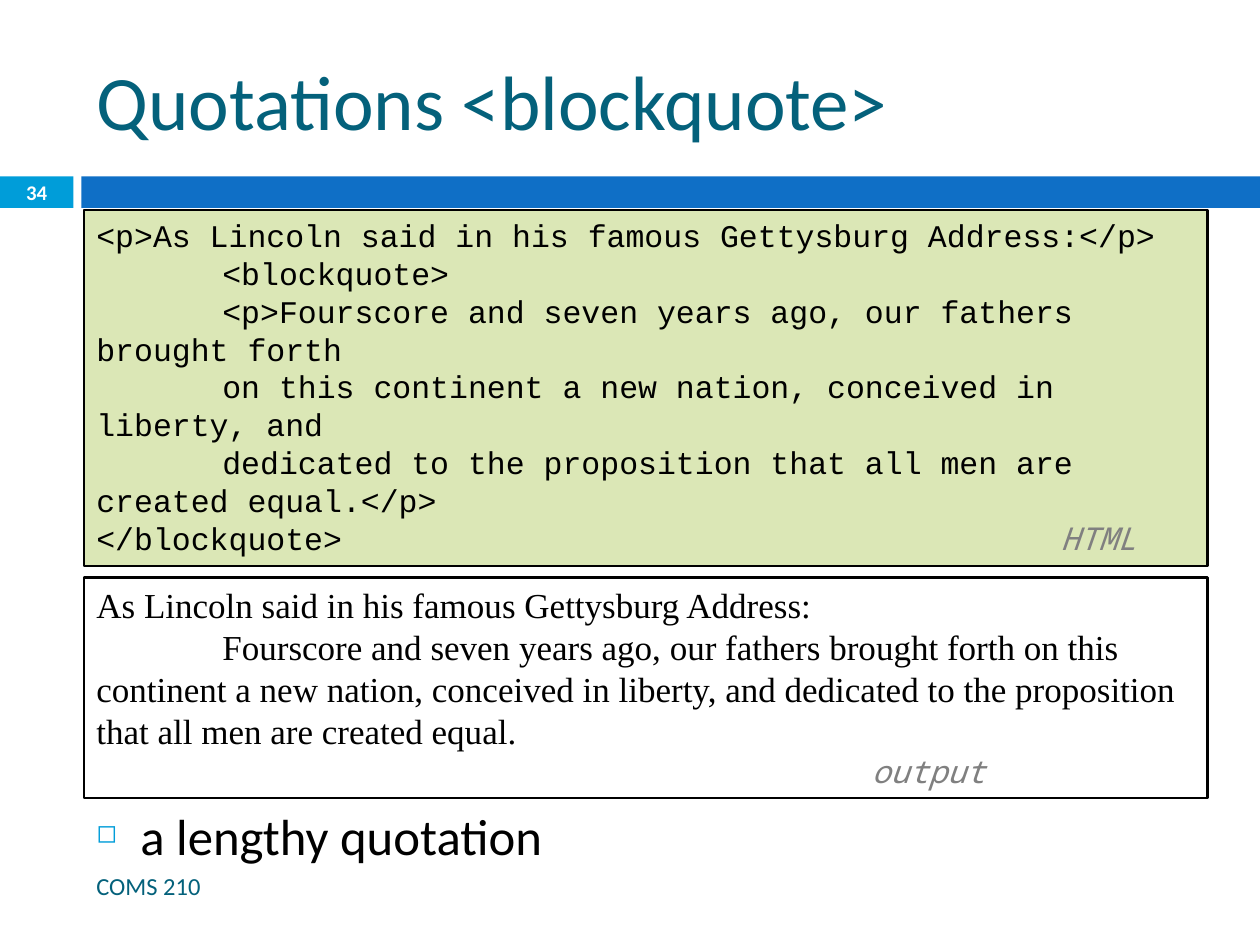
from dataclasses import dataclass

from lxml import etree
from pptx import Presentation
from pptx import util as u
from pptx.dml.color import RGBColor
from pptx.enum import shapes, text
from pptx.oxml.ns import qn


@dataclass(frozen=True)
class Theme:
    teal: str = "04617B"
    cyan: str = "009DD9"
    blue: str = "0F6FC6"
    green: str = "DBE7B6"
    gray: str = "808080"
    black: str = "000000"
    white: str = "FFFFFF"
    sans: str = "Calibri"
    code: str = "Courier New"
    mono: str = "Noto Sans Mono"
    serif: str = "Times New Roman"
    title: float = 44
    body: float = 29
    quote: float = 20
    small: float = 18
    foot: float = 14
    page: float = 11.9


def write(para, words, font, size, color, bold=False, slant=False):
    run = para.add_run()
    run.text = words
    face = run.font
    face.name, face.size = font, u.Pt(size)
    face.bold, face.italic = bold, slant
    face.color.rgb = RGBColor.from_string(color)


class Deck:
    """Hold the theme and the current slide, and draw each kind of element."""

    def __init__(self, theme):
        self.theme = theme
        self.file = Presentation()
        self.file.slide_width, self.file.slide_height = u.Pt(720), u.Pt(540)
        self.slide = self.file.slides.add_slide(self.file.slide_layouts[6])

    def rect(self, at, fill=None, line=None):
        box = self.slide.shapes.add_shape(
            shapes.MSO_SHAPE.RECTANGLE, *map(u.Pt, at))
        box.shadow.inherit = False
        if fill:
            box.fill.solid()
            box.fill.fore_color.rgb = RGBColor.from_string(fill)
        else:
            box.fill.background()
        if line:
            box.line.color.rgb = RGBColor.from_string(line)
            box.line.width = u.Pt(1.5)
        else:
            box.line.fill.background()
        return box

    def label(self, at, words, anchor=text.MSO_ANCHOR.MIDDLE,
              align=text.PP_ALIGN.LEFT, **style):
        frame = self.slide.shapes.add_textbox(*map(u.Pt, at)).text_frame
        frame.word_wrap = True
        frame.vertical_anchor = anchor
        para = frame.paragraphs[0]
        para.alignment = align
        write(para, words, font=self.theme.sans, **style)
        return para

    def bullet(self, at, words, **style):
        para = self.label(at, words, anchor=text.MSO_ANCHOR.TOP, **style)
        props = para._p.get_or_add_pPr()
        props.set("marL", str(u.Pt(25.2)))
        props.set("indent", str(u.Pt(-25.2)))
        tint = etree.SubElement(props, qn("a:buClr"))
        etree.SubElement(tint, qn("a:srgbClr"), val=self.theme.cyan)
        etree.SubElement(props, qn("a:buSzPct"), val="50000")
        etree.SubElement(props, qn("a:buChar"), char="◻")

    def tab(self, para, stop):
        tabs = etree.SubElement(para._p.get_or_add_pPr(), qn("a:tabLst"))
        etree.SubElement(tabs, qn("a:tab"), pos=str(u.Pt(stop)), algn="l")

    def sample(self, at, lines, tag, stop, fill=None, **style):
        frame = self.rect(at, fill, self.theme.black).text_frame
        frame.word_wrap = True
        frame.auto_size = text.MSO_AUTO_SIZE.SHAPE_TO_FIT_TEXT
        frame.vertical_anchor = text.MSO_ANCHOR.TOP
        for i, line in enumerate(lines):
            para = frame.add_paragraph() if i else frame.paragraphs[0]
            para.alignment = text.PP_ALIGN.LEFT
            if line.startswith("\t"):
                self.tab(para, 72)
            if line:
                write(para, line, color=self.theme.black, **style)
        self.tab(para, stop)
        write(para, "\t" + tag, self.theme.mono, self.theme.small,
              self.theme.gray, slant=True)


def main():
    t = Theme()
    deck = Deck(t)
    left, wide = 48, 642
    deck.rect((0, 100.8, 42, 18), t.cyan)
    deck.rect((46.5, 100.8, 673.5, 18), t.blue)
    deck.label((48.2, 18, wide, 78), "Quotations <blockquote>",
               size=t.title, color=t.teal)
    deck.bullet((left, 456.4, wide, 83.6), "a lengthy quotation",
                size=t.body, color=t.black)
    deck.label((left, 492, 427, 28.8), "COMS 210", size=t.foot, color=t.teal)
    deck.label((0, 100, 42, 19.5), "34", align=text.PP_ALIGN.CENTER,
               size=t.page, color=t.white, bold=True)
    deck.sample((left, 120, wide, 203.5), [
        "<p>As Lincoln said in his famous Gettysburg Address:</p>",
        "\t<blockquote>",
        "\t<p>Fourscore and seven years ago, our fathers brought forth",
        "\ton this continent a new nation, conceived in liberty, and",
        "\tdedicated to the proposition that all men are created equal.</p>",
        "</blockquote>",
    ], "HTML", 551, t.green, font=t.code, size=t.small)
    deck.sample((left, 330, wide, 126), [
        "As Lincoln said in his famous Gettysburg Address:",
        "\tFourscore and seven years ago, our fathers brought forth on this "
        "continent a new nation, conceived in liberty, and dedicated to the "
        "proposition that all men are created equal.",
        "",
    ], "output", 443, font=t.serif, size=t.quote)
    deck.file.save("out.pptx")


if __name__ == "__main__":
    main()
